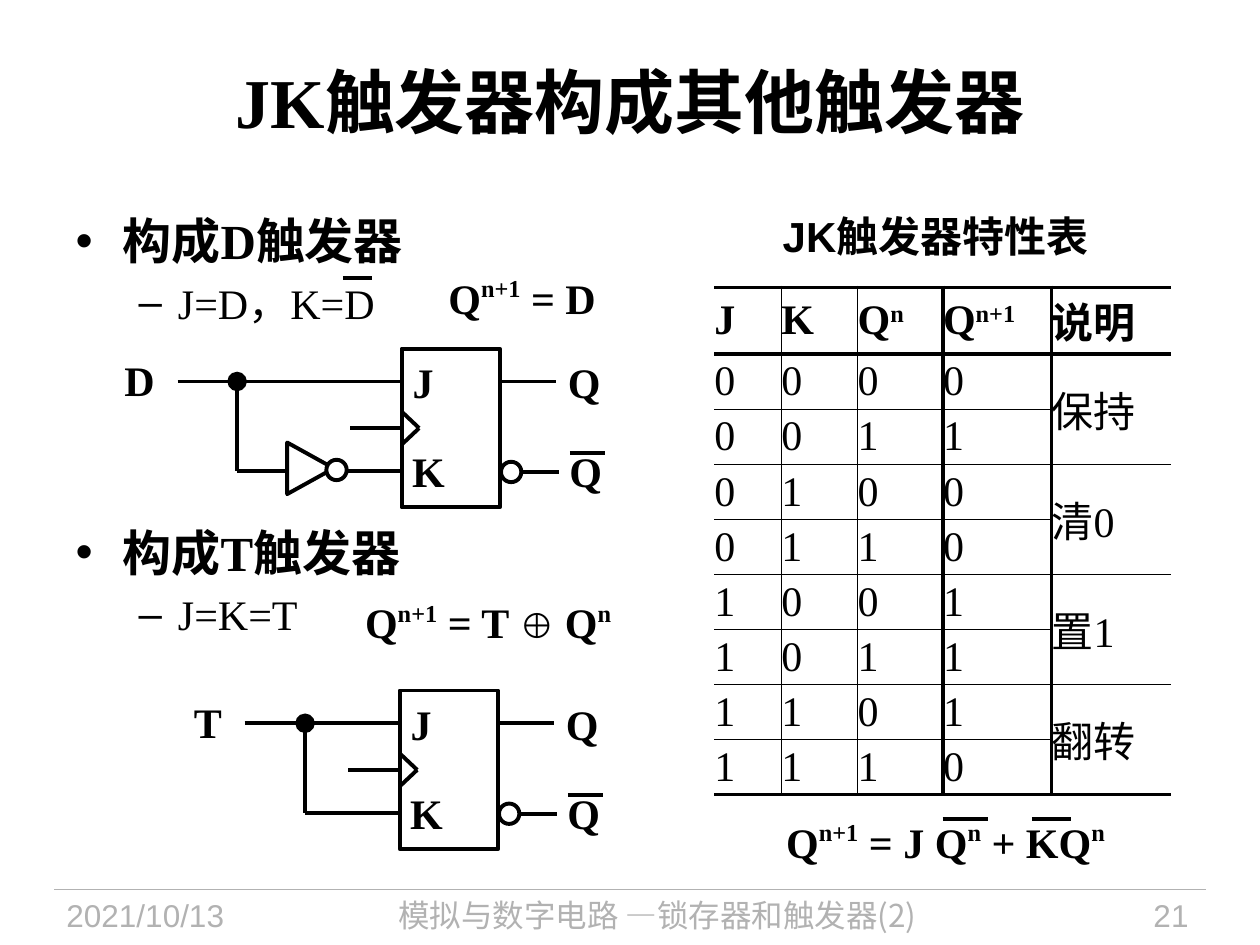
import lxml.etree
import pptx
import pptx.dml.color
import pptx.enum.shapes
import pptx.enum.text
import pptx.oxml.ns
import pptx.util

Cm = pptx.util.Cm
Pt = pptx.util.Pt
Shape = pptx.enum.shapes.MSO_SHAPE
Align = pptx.enum.text.PP_ALIGN
AutoSize = pptx.enum.text.MSO_AUTO_SIZE
qn = pptx.oxml.ns.qn


def paint(value):
    return pptx.dml.color.RGBColor.from_string(value)


class SlideBuilder:
    SERIF, SANS, CHINESE = "Times New Roman", "Arial", "Noto Sans CJK SC"
    BLACK, WHITE, GREY = "000000", "FFFFFF", "B2B2B2"
    STROKE = 2.25

    def __init__(self, page):
        self.page = page
        self.shapes = page.shapes

    def start_group(self):
        """Send the following elements to a new group."""
        self.shapes = self.page.shapes.add_group_shape().shapes

    def end_group(self):
        self.shapes = self.page.shapes

    def compose(self, paragraph, parts, size=24, font=SERIF, bold=True,
                color=BLACK, align=None, rise=40):
        """Fill a paragraph; a part that starts with ^ is a superscript."""
        paragraph.alignment = align
        paragraph.font.size = Pt(size)
        paragraph.font.bold = bold
        paragraph.font.color.rgb = paint(color)
        paragraph.font.name = font
        lxml.etree.SubElement(paragraph.font._element, qn("a:ea"), typeface=self.CHINESE)
        for part in parts:
            span = paragraph.add_run()
            span.text = part.lstrip("^")
            if part.startswith("^"):
                span.font._element.set("baseline", str(rise * 1000))
            elif part == "⊕":
                span.font.size = Pt(20)
                span.font.name = self.SANS

    def text(self, left, top, width, *parts, wrap=True, grow=True, height=1.27, **style):
        box = self.shapes.add_textbox(Cm(left), Cm(top), Cm(width), Cm(height))
        box.text_frame.word_wrap = wrap
        box.text_frame.auto_size = AutoSize.SHAPE_TO_FIT_TEXT if grow else AutoSize.NONE
        self.compose(box.text_frame.paragraphs[0], parts, **style)

    def placeholder(self, holder, left, top, width, height):
        holder.left, holder.top = Cm(left), Cm(top)
        holder.width, holder.height = Cm(width), Cm(height)
        holder.text_frame.auto_size = AutoSize.NONE
        return holder.text_frame

    def title(self, words):
        frame = self.placeholder(self.page.shapes.title, 1.27, 0.43, 22.86, 3.18)
        self.compose(frame.paragraphs[0], [words], size=40, align=Align.CENTER)

    def outline(self, sections):
        """Fill the body with (heading, detail) pairs, leaving room for a circuit."""
        frame = self.placeholder(self.page.placeholders[1], 1.27, 4.04, 8.23, 13.69)
        for index, (heading, detail) in enumerate(sections):
            first = frame.add_paragraph() if index else frame.paragraphs[0]
            second = frame.add_paragraph()
            second.level = 1
            first.space_before = Pt(109 if index else 0)
            second.space_before = Pt(0)
            first.line_spacing, second.line_spacing = Pt(36), Pt(33)
            self.compose(first, [heading], size=28)
            self.compose(second, [detail], bold=False)

    def line(self, x1, y1, x2, y2, color=BLACK, width=STROKE, dot=False):
        line = self.shapes.add_connector(
            pptx.enum.shapes.MSO_CONNECTOR.STRAIGHT, Cm(x1), Cm(y1), Cm(x2), Cm(y2))
        line.line.color.rgb = paint(color)
        line.line.width = Pt(width)
        lxml.etree.SubElement(line._element.spPr, qn("a:effectLst"))
        if dot:
            lxml.etree.SubElement(line.line._get_or_add_ln(), qn("a:headEnd"),
                                  type="oval", w="lg", len="lg")
        return line

    def shape(self, kind, left, top, width, height, fill=WHITE, rotation=0):
        shape = self.shapes.add_shape(kind, Cm(left), Cm(top), Cm(width), Cm(height))
        shape.shadow.inherit = False
        shape.rotation = rotation
        if fill:
            shape.fill.solid()
            shape.fill.fore_color.rgb = paint(fill)
        else:
            shape.fill.background()
        shape.line.color.rgb = paint(self.BLACK)
        shape.line.width = Pt(self.STROKE)
        return shape

    def bubble(self, left, top):
        self.shape(Shape.OVAL, left, top, 0.41, 0.41)

    def circuit(self, left, top, label, label_left, wire_left, branch, inverted=False):
        """Draw a JK flip-flop whose J and K are both fed by one input."""
        self.start_group()
        right = left + 1.98
        j_wire, clock, k_wire = top + 0.66, top + 1.6, top + 2.46
        body = self.shape(Shape.RECTANGLE, left, top, 1.98, 3.2, fill=None)
        self.line(wire_left, j_wire, left, j_wire)
        self.line(left - 1.04, clock, left, clock).end_connect(body, 1)
        for edge in (clock - 0.33, clock + 0.33):
            self.line(left, edge, left + 0.35, clock)
        self.line(right, j_wire, right + 1.12, j_wire)
        self.line(right + 0.07, top + 2.49, right + 1.19, top + 2.49)
        self.bubble(right + 0.02, top + 2.28)
        self.line(branch, k_wire, left, k_wire)
        self.line(branch, j_wire, branch, k_wire, dot=True)
        if inverted:
            self.shape(Shape.FLOWCHART_MERGE, 5.74, 8.97, 1.04, 0.94, rotation=270)
            self.bubble(6.58, 9.27)
        self.text(left - 0.03, top + 0.03, 0.99, "J")
        self.text(left - 0.04, top + 1.83, 0.99, "K")
        self.text(left + 3.1, top + 0.03, 1.17, "Q", wrap=False)
        self.text(left + 3.13, top + 1.83, 1.17, "Q", wrap=False)
        self.line(left + 3.39, top + 2.1, left + 4.09, top + 2.1)
        self.text(label_left, top, 1.12, label, wrap=False)
        self.end_group()

    def border(self, cell, **widths):
        """Set cell edges in points, named lnL, lnR, lnT, lnB; 0 is no line."""
        for index, (edge, width) in enumerate(widths.items()):
            line = lxml.etree.Element(qn(f"a:{edge}"), w=str(Pt(width)))
            if width:
                fill = lxml.etree.SubElement(line, qn("a:solidFill"))
                lxml.etree.SubElement(fill, qn("a:srgbClr"), val=self.BLACK)
            else:
                lxml.etree.SubElement(line, qn("a:noFill"))
            cell._tc.get_or_add_tcPr().insert(index, line)

    def truth_table(self, left, top, widths, header, rows, notes):
        count = len(rows) + 1
        table = self.shapes.add_table(count, len(widths), Cm(left), Cm(top),
                                      Cm(sum(widths)), Cm(10.23)).table
        table.first_row = table.horz_banding = False
        for column, width in zip(table.columns, widths):
            column.width = Cm(width)
        for index, row in enumerate(table.rows):
            row.height = Cm(1.11 if index else 1.35)
        last = len(widths) - 1
        verticals = [0, 1, 1, self.STROKE, self.STROKE, 0]
        horizontals = [self.STROKE] * 2 + [1] * (count - 2) + [self.STROKE]
        lines = [header]
        for index, digits in enumerate(rows):
            note = [] if index % 2 else [notes[index // 2]]
            lines.append([[digit] for digit in digits] + [note])
        for r, line in enumerate(lines):
            for c, parts in enumerate(line):
                cell = table.cell(r, c)
                cell.fill.background()
                cell.vertical_anchor = pptx.enum.text.MSO_ANCHOR.MIDDLE
                cell.margin_left = cell.margin_right = 0
                cell.margin_top = cell.margin_bottom = 0
                merged = c == last and r > 0
                upper = 0 if merged and r % 2 == 0 else horizontals[r]
                lower = horizontals[r + 2 if merged and r % 2 else r + 1]
                self.border(cell, lnL=verticals[c], lnR=verticals[c + 1],
                            lnT=upper, lnB=lower)
                self.compose(cell.text_frame.paragraphs[0], parts, bold=r == 0, rise=30)
        for r in range(1, count, 2):
            table.cell(r, last).merge(table.cell(r + 1, last))

    def footer(self, date, subject, number):
        self.line(1.09, 17.93, 24.31, 17.93, color=self.GREY, width=0.75)
        for left, width, words, font, align in (
                (1.09, 4.78, date, self.SANS, Align.LEFT),
                (6.1, 14.3, subject, self.CHINESE, Align.CENTER),
                (20.83, 3.38, number, self.SANS, Align.RIGHT)):
            self.text(left, 17.93, width, words, height=1.12, grow=False, size=18,
                      font=font, bold=False, color=self.GREY, align=align)


def main():
    deck = pptx.Presentation()
    deck.slide_width, deck.slide_height = Cm(25.4), Cm(19.05)
    builder = SlideBuilder(deck.slides.add_slide(deck.slide_layouts[1]))
    builder.footer("2021/10/13", "模拟与数字电路 —锁存器和触发器(2)", "21")
    builder.title("JK触发器构成其他触发器")
    builder.outline([("构成D触发器", "J=D，K=D"), ("构成T触发器", "J=K=T")])
    builder.line(6.91, 5.61, 7.49, 5.61)
    builder.text(8.79, 5.36, 3.81, "Q", "^n+1", " = D")
    builder.text(7.11, 11.91, 5.59, "Q", "^n+1", " = T ", "⊕", " Q", "^n")

    builder.circuit(8.1, 7.03, "D", 2.26, 3.58, 4.78, inverted=True)
    builder.circuit(8.06, 13.92, "T", 3.66, 4.93, 6.15)

    builder.text(15.01, 4.11, 7.7, "JK触发器特性表", font=builder.SANS, align=Align.CENTER)
    states = [f"{j}{k}{q}{j if j != k else q ^ j}"
              for j in (0, 1) for k in (0, 1) for q in (0, 1)]
    builder.truth_table(
        14.4, 5.79, [1.35, 1.54, 1.72, 2.19, 2.41],
        [["J"], ["K"], ["Q", "^n"], ["Q", "^n+1"], ["说明"]],
        states, ["保持", "清0", "置1", "翻转"])

    builder.start_group()
    builder.text(15.6, 16.33, 7.21, "Q", "^n+1", " = J Q", "^n", " + KQ", "^n")
    builder.line(19, 16.51, 19.91, 16.51)
    builder.line(20.8, 16.51, 21.59, 16.51)
    builder.end_group()
    deck.save("out.pptx")


if __name__ == "__main__":
    main()
